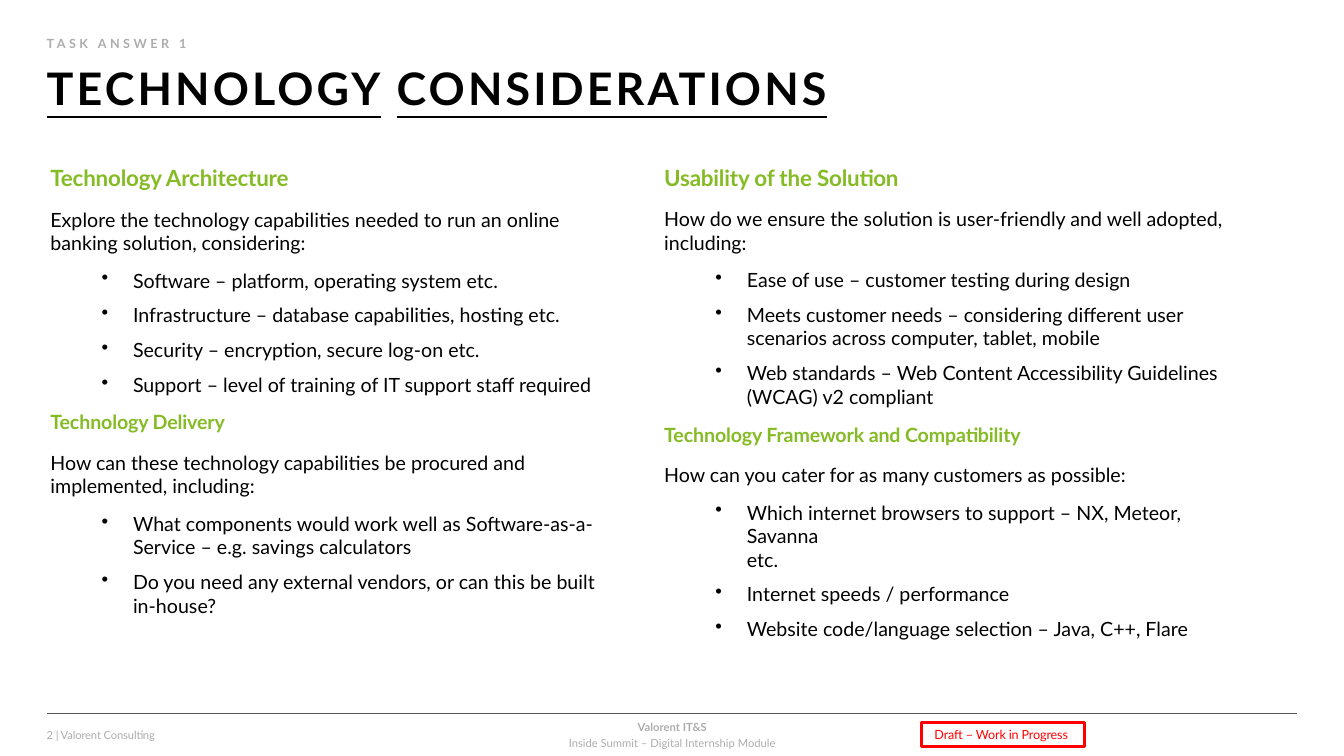
from lxml import etree
from pptx import Presentation
from pptx.dml.color import RGBColor
from pptx.enum.shapes import MSO_CONNECTOR, MSO_SHAPE
from pptx.enum.text import MSO_ANCHOR, PP_ALIGN
from pptx.oxml.ns import qn
from pptx.util import Pt

LEFT, CENTER, TOP = PP_ALIGN.LEFT, PP_ALIGN.CENTER, MSO_ANCHOR.TOP
RECTANGLE, STRAIGHT = MSO_SHAPE.RECTANGLE, MSO_CONNECTOR.STRAIGHT

# Theme: colours, type sizes and paragraph styles
THEME = {
    "font": "Lato",
    "black": "000000", "green": "85BB24", "grey": "ADADAD",
    "red": "FF0000", "rule": "52555A",
    "title": 32, "heading": 16, "body": 14, "label": 9, "footer": 8,
}
BASE = {"size": "body", "color": "black", "bold": False, "underline": False,
        "before": 0, "indent": 1, "spacing": 0, "align": LEFT,
        "bullet": False, "tab": None}
STYLES = {
    "kicker": {"size": "label", "color": "grey", "bold": True, "spacing": 2.5},
    "title": {"size": "title", "bold": True, "underline": True,
              "spacing": 2.2, "tab": 250},
    "heading": {"size": "heading", "color": "green", "bold": True, "spacing": -0.1},
    "subheading": {"color": "green", "bold": True, "before": 10, "spacing": -0.1},
    "intro": {"before": 12},
    "first bullet": {"before": 10, "indent": 60, "bullet": True},
    "bullet": {"before": 8, "indent": 60, "bullet": True},
    "continuation": {"indent": 60},
    "page": {"size": "footer", "color": "grey", "spacing": -0.1},
    "unit": {"size": "footer", "color": "grey", "bold": True, "align": CENTER},
    "module": {"size": "footer", "color": "grey", "align": CENTER, "before": 2},
    "draft": {"size": "label", "color": "red", "indent": 9.5, "spacing": -0.1},
}
BULLET_HANG = 22.5

# Content: (left, top, width, height, top inset) and styled paragraphs
LEFT_COLUMN, RIGHT_COLUMN = 35, 473.5
TEXT_BOXES = [
    ((32.4, 24.5, 103, 13, 1), [("kicker", "TASK ANSWER 1")]),
    ((32.4, 42.5, 895, 40, 1), [("title", "TECHNOLOGY\tCONSIDERATIONS")]),
    ((LEFT_COLUMN, 116, 395, 325, 1), [
        ("heading", "Technology Architecture"),
        ("intro", "Explore the technology capabilities needed to run an online "
                  "banking solution, considering:"),
        ("first bullet", "Software – platform, operating system etc."),
        ("bullet", "Infrastructure – database capabilities, hosting etc."),
        ("bullet", "Security – encryption, secure log-on etc."),
        ("bullet", "Support – level of training of IT support staff required"),
        ("subheading", "Technology Delivery"),
        ("intro", "How can these technology capabilities be procured and "
                  "implemented, including:"),
        ("first bullet", "What components would work well as Software-as-a-Service "
                         "– e.g. savings calculators"),
        ("bullet", "Do you need any external vendors, or can this be built in-house?"),
    ]),
    ((RIGHT_COLUMN, 116, 405, 67, 1), [
        ("heading", "Usability of the Solution"),
        ("intro", "How do we ensure the solution is user-friendly and well adopted, "
                  "including:"),
    ]),
    ((RIGHT_COLUMN, 183, 398, 110, 8.5), [
        ("first bullet", "Ease of use – customer testing during design"),
        ("bullet", "Meets customer needs – considering different user "
                   "scenarios across computer, tablet, mobile"),
        ("bullet", "Web standards – Web Content Accessibility Guidelines "
                   "(WCAG) v2 compliant"),
    ]),
    ((RIGHT_COLUMN, 301, 335, 48, 1), [
        ("subheading", "Technology Framework and Compatibility"),
        ("intro", "How can you cater for as many customers as possible:"),
    ]),
    ((RIGHT_COLUMN, 356.5, 403, 85, 1), [
        ("first bullet", "Which internet browsers to support – NX, Meteor, Savanna"),
        ("continuation", "etc."),
        ("bullet", "Internet speeds / performance"),
        ("bullet", "Website code/language selection – Java, C++, Flare"),
    ]),
    ((32.4, 519, 100, 12, 1), [("page", "2 | Valorent Consulting")]),
    ((406, 511.2, 148.5, 25, 3), [
        ("unit", "Valorent IT&S"),
        ("module", "Inside Summit – Digital Internship Module"),
    ]),
]
DRAFT_BOX = (658, 516.2, 116.6, 17.3, 3)
DRAFT_TEXT = [("draft", "Draft – Work in Progress")]
FOOTER_RULE = (33.8, 926.6, 509.8)


def color(name):
    return RGBColor.from_string(THEME[name])


def style_paragraph(paragraph, style):
    font = paragraph.font
    font.name, font.size = THEME["font"], Pt(THEME[style["size"]])
    font.bold = style["bold"]
    font.underline = style["underline"]
    font.color.rgb = color(style["color"])
    paragraph.alignment = style["align"]
    paragraph.space_before = Pt(style["before"])

    # Indent, bullet, tab stop and letter spacing
    properties = paragraph._p.get_or_add_pPr()
    defaults = properties.find(qn("a:defRPr"))
    defaults.set("spc", str(round(style["spacing"] * 100)))
    if style["align"] == LEFT:
        properties.set("marL", str(Pt(style["indent"])))
    if style["bullet"]:
        properties.set("indent", str(-Pt(BULLET_HANG)))
        bullet = etree.Element(qn("a:buChar"), char="•")
        defaults.addprevious(bullet)
    if style["tab"]:
        tabs = etree.Element(qn("a:tabLst"))
        etree.SubElement(tabs, qn("a:tab"), pos=str(Pt(style["tab"])), algn="l")
        defaults.addprevious(tabs)


def fill_text(shape, paragraphs, inset):
    frame = shape.text_frame
    frame.word_wrap, frame.vertical_anchor = True, TOP
    frame.margin_left = frame.margin_right = frame.margin_bottom = 0
    frame.margin_top = Pt(inset)
    for index, (style, text) in enumerate(paragraphs):
        paragraph = frame.add_paragraph() if index else frame.paragraphs[0]
        paragraph.text = text
        style_paragraph(paragraph, BASE | STYLES[style])


presentation = Presentation()
presentation.slide_width, presentation.slide_height = Pt(960), Pt(540)
slide = presentation.slides.add_slide(presentation.slide_layouts[6])

# Draft marker
*place, inset = DRAFT_BOX
draft = slide.shapes.add_shape(RECTANGLE, *map(Pt, place))
draft.shadow.inherit = False
draft.fill.background()
draft.line.color.rgb, draft.line.width = color("red"), Pt(2.04)
fill_text(draft, DRAFT_TEXT, inset)

# Footer rule
start, end, height = map(Pt, FOOTER_RULE)
rule = slide.shapes.add_connector(STRAIGHT, start, height, end, height)
rule.line.color.rgb, rule.line.width = color("rule"), Pt(0.96)
etree.SubElement(rule._element.spPr, qn("a:effectLst"))

# Title, columns and footer text
for (*place, inset), paragraphs in TEXT_BOXES:
    fill_text(slide.shapes.add_textbox(*map(Pt, place)), paragraphs, inset)

presentation.save("out.pptx")
